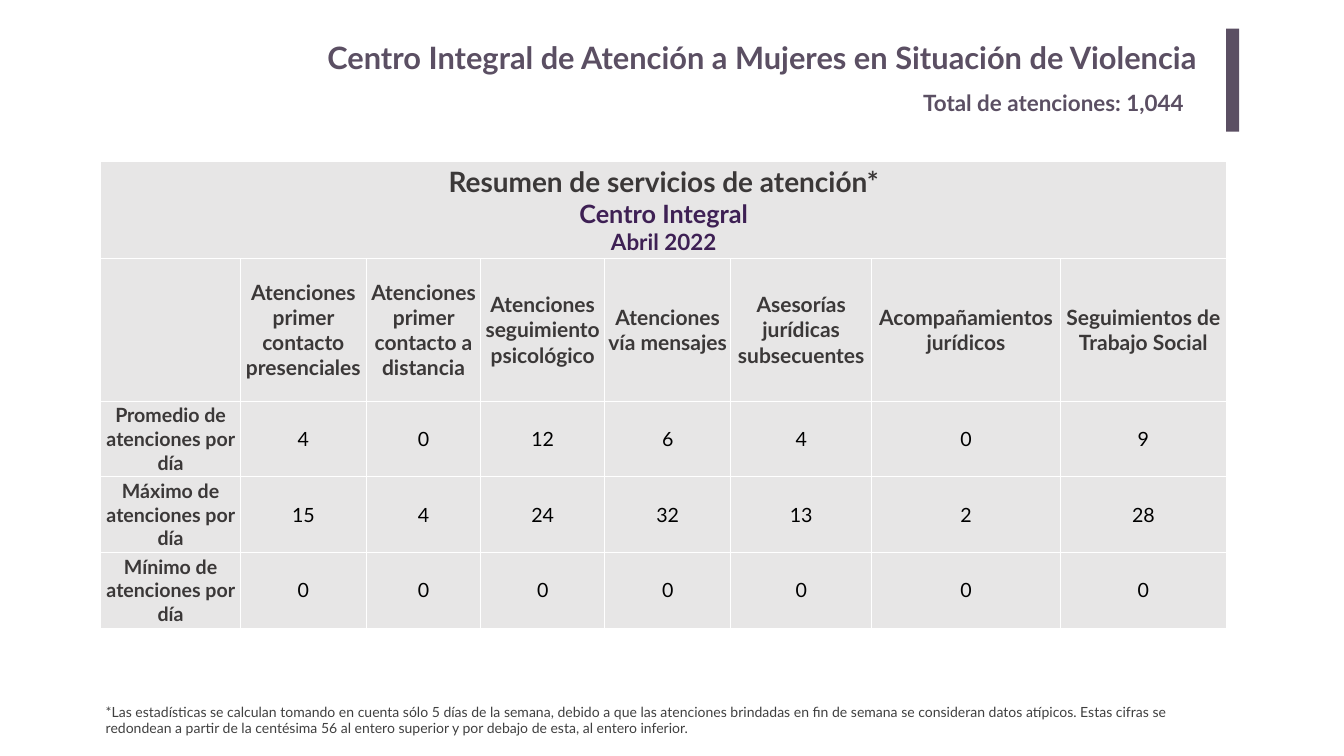
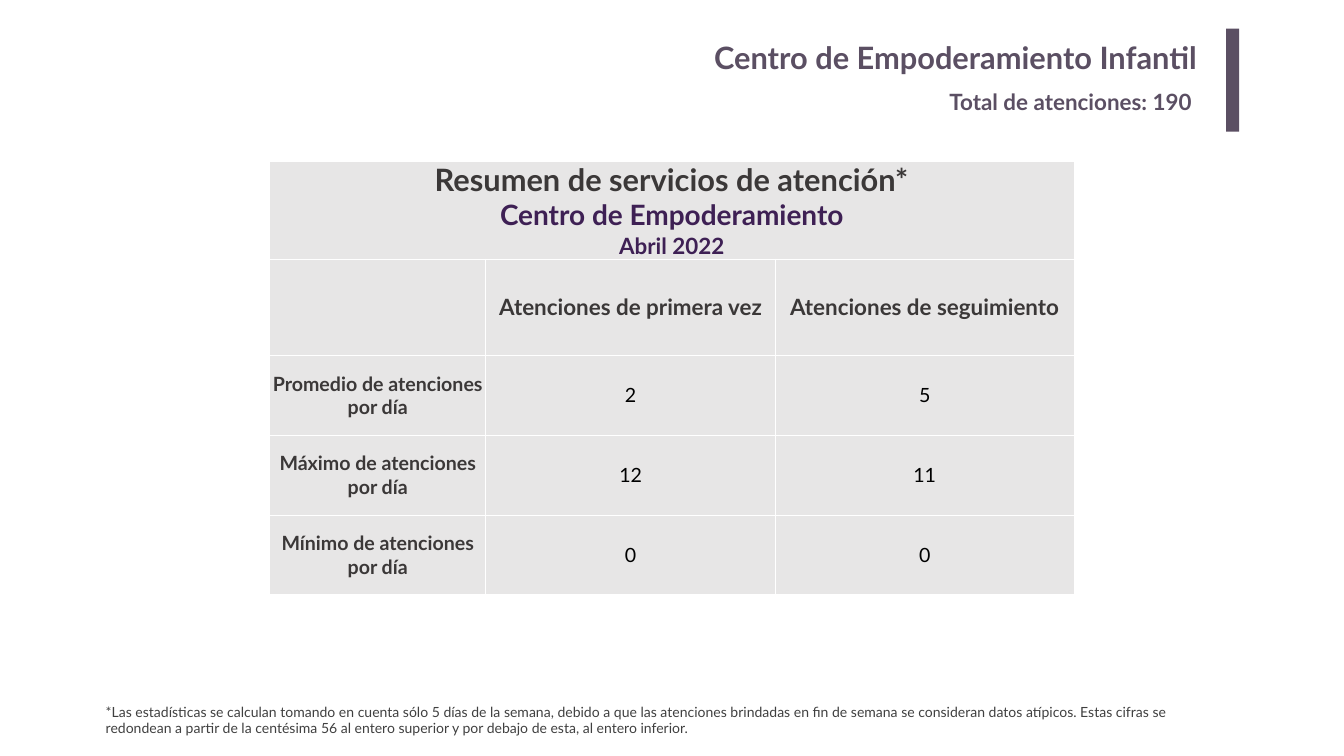
from dataclasses import dataclass

from lxml import etree
from pptx import Presentation
from pptx.dml.color import RGBColor
from pptx.enum.shapes import MSO_SHAPE
from pptx.enum.text import MSO_ANCHOR, MSO_AUTO_SIZE, PP_ALIGN
from pptx.oxml.ns import qn
from pptx.util import Inches, Pt

RECTANGLE = MSO_SHAPE.RECTANGLE
TOP, MIDDLE = MSO_ANCHOR.TOP, MSO_ANCHOR.MIDDLE
LEFT, CENTER, RIGHT = PP_ALIGN.LEFT, PP_ALIGN.CENTER, PP_ALIGN.RIGHT
NO_AUTOFIT = MSO_AUTO_SIZE.NONE
TITLE_ONLY = 5
FONT = "Lato"
COLORS = {
    "accent": "5B4F63",
    "purple": "3E2054",
    "heading": "3B3838",
    "value": "000000",
    "note": "404040",
    "cell": "E7E6E6",
    "border": "FFFFFF",
}
FOOTNOTE = (
    "*Las estadísticas se calculan tomando en cuenta sólo 5 días de la semana, "
    "debido a que las atenciones brindadas en fin de semana se consideran datos "
    "atípicos. Estas cifras se redondean a partir de la centésima 56 al entero "
    "superior y por debajo de esta, al entero inferior."
)
ROW_LABELS = [f"{measure} de atenciones por día" for measure in ("Promedio", "Máximo", "Mínimo")]


@dataclass(frozen=True)
class Box:
    left: float
    top: float
    width: float
    height: float

    def lengths(self) -> tuple:
        return tuple(Inches(n) for n in (self.left, self.top, self.width, self.height))


@dataclass(frozen=True)
class TextLine:
    text: str
    size: float
    color: str
    bold: bool = True


@dataclass(frozen=True)
class Summary:
    title: str
    total: str
    total_box: Box
    table_box: Box
    caption: list[TextLine]
    column_widths: list[float]
    row_heights: list[float]
    header_size: float
    headers: list[str]
    values: list[list[int]]


TITLE_BOX = Box(3.66, 0.67, 20.3, 1.02)
BAR_BOX = Box(24.33, 0.57, 0.26, 2.04)
FOOTNOTE_BOX = Box(2, 13.9, 22.33, 0.77)

SUMMARIES = [
    Summary(
        title="Centro Integral de Atención a Mujeres en Situación de Violencia",
        total="1,044",
        total_box=Box(18.22, 1.71, 5.92, 0.64),
        table_box=Box(2, 3.21, 22.33, 9.24),
        caption=[
            TextLine("Resumen de servicios de atención*", 40, "heading"),
            TextLine("Centro Integral", 36, "purple"),
            TextLine("Abril 2022", 32, "purple"),
        ],
        column_widths=[2.77, 2.5, 2.27, 2.46, 2.5, 2.8, 3.74, 3.3],
        row_heights=[1.92, 2.83] + [1.5] * 3,
        header_size=30,
        headers=[
            "Atenciones primer contacto presenciales",
            "Atenciones primer contacto a distancia",
            "Atenciones seguimiento psicológico",
            "Atenciones vía mensajes",
            "Asesorías jurídicas subsecuentes",
            "Acompañamientos jurídicos",
            "Seguimientos de Trabajo Social",
        ],
        values=[
            [4, 0, 12, 6, 4, 0, 9],
            [15, 4, 24, 32, 13, 2, 28],
            [0] * 7,
        ],
    ),
    Summary(
        title="Centro de Empoderamiento Infantil",
        total="190",
        total_box=Box(18.74, 1.69, 5.28, 0.64),
        table_box=Box(5.35, 3.2, 15.96, 8.59),
        caption=[
            TextLine("Resumen de servicios de atención*", 44, "heading"),
            TextLine("Centro de Empoderamiento", 40, "purple"),
            TextLine("Abril 2022", 32, "purple"),
        ],
        column_widths=[4.29, 5.75, 5.92],
        row_heights=[1.92] * 2 + [1.58] * 3,
        header_size=32,
        headers=["Atenciones de primera vez", "Atenciones de seguimiento"],
        values=[[2, 5], [12, 11], [0, 0]],
    ),
]


def set_attributes(target, values: dict) -> None:
    """Set each named format value on the target."""
    for name, value in values.items():
        setattr(target, name, value)


def margins(horizontal: float, vertical: float) -> dict:
    """Return the four inner margins as format values."""
    return {
        "margin_left": Inches(horizontal),
        "margin_right": Inches(horizontal),
        "margin_top": Inches(vertical),
        "margin_bottom": Inches(vertical),
    }


def write_lines(text_frame, lines: list[TextLine], alignment) -> None:
    """Write one formatted paragraph for each line."""
    for index, line in enumerate(lines):
        paragraph = text_frame.add_paragraph() if index else text_frame.paragraphs[0]
        set_attributes(paragraph, {"alignment": alignment, "space_before": Pt(0)})
        run = paragraph.add_run()
        run.text = line.text
        set_attributes(run.font, {"name": FONT, "size": Pt(line.size), "bold": line.bold})
        run.font.color.rgb = RGBColor.from_string(COLORS[line.color])


def format_frame(text_frame, horizontal: float, vertical: float) -> None:
    """Give a text frame its wrapping, anchor and margins."""
    frame_format = {"word_wrap": True, "auto_size": NO_AUTOFIT, "vertical_anchor": TOP}
    set_attributes(text_frame, frame_format | margins(horizontal, vertical))


def add_title(slide, title: str) -> None:
    """Place the right-aligned slide title."""
    shape = slide.shapes.title
    set_attributes(shape, dict(zip(("left", "top", "width", "height"), TITLE_BOX.lengths())))
    format_frame(shape.text_frame, 0.2, 0.1)
    write_lines(shape.text_frame, [TextLine(title, 44, "accent")], RIGHT)


def add_text(slide, box: Box, line: TextLine) -> None:
    """Add a left-aligned text box."""
    text_frame = slide.shapes.add_textbox(*box.lengths()).text_frame
    format_frame(text_frame, 0.1, 0.05)
    write_lines(text_frame, [line], LEFT)


def add_bar(slide) -> None:
    """Add the accent bar beside the title."""
    shape = slide.shapes.add_shape(RECTANGLE, *BAR_BOX.lengths())
    shape.shadow.inherit = False
    shape.fill.solid()
    shape.fill.fore_color.rgb = RGBColor.from_string(COLORS["accent"])
    shape.line.fill.background()


def format_cell(cell) -> None:
    """Give a cell its borders, fill, anchor and margins."""
    properties = cell._tc.get_or_add_tcPr()
    for side in ("lnL", "lnR", "lnT", "lnB"):
        border = etree.SubElement(properties, qn(f"a:{side}"), w=str(Pt(1)))
        fill = etree.SubElement(border, qn("a:solidFill"))
        etree.SubElement(fill, qn("a:srgbClr"), val=COLORS["border"])
    cell.fill.solid()
    cell.fill.fore_color.rgb = RGBColor.from_string(COLORS["cell"])
    set_attributes(cell, {"vertical_anchor": MIDDLE} | margins(0, 0))


def add_summary_table(slide, summary: Summary) -> None:
    """Add the table of daily averages, maximums and minimums."""
    row_count, column_count = len(summary.row_heights), len(summary.column_widths)
    table = slide.shapes.add_table(row_count, column_count, *summary.table_box.lengths()).table
    set_attributes(table, {"first_row": False, "horz_banding": False})
    for column, width in zip(table.columns, summary.column_widths):
        column.width = Inches(width)
    for row, height in zip(table.rows, summary.row_heights):
        row.height = Inches(height)
    for cell in table.iter_cells():
        format_cell(cell)

    table.cell(0, 0).merge(table.cell(0, column_count - 1))
    write_lines(table.cell(0, 0).text_frame, summary.caption, CENTER)
    for column, header in enumerate(summary.headers, 1):
        line = TextLine(header, summary.header_size, "heading")
        write_lines(table.cell(1, column).text_frame, [line], CENTER)
    for row, (label, values) in enumerate(zip(ROW_LABELS, summary.values), 2):
        lines = [TextLine(label, 28, "heading")]
        lines += [TextLine(str(value), 28, "value", False) for value in values]
        for column, line in enumerate(lines):
            write_lines(table.cell(row, column).text_frame, [line], CENTER)


def add_summary_slide(presentation, summary: Summary) -> None:
    """Add one slide with its title, total, table and footnote."""
    slide = presentation.slides.add_slide(presentation.slide_layouts[TITLE_ONLY])
    add_summary_table(slide, summary)
    add_title(slide, summary.title)
    add_bar(slide)
    total = TextLine(f"Total de atenciones: {summary.total}", 32, "accent")
    add_text(slide, summary.total_box, total)
    add_text(slide, FOOTNOTE_BOX, TextLine(FOOTNOTE, 20, "note", False))


def main() -> None:
    """Build and save the presentation."""
    presentation = Presentation()
    set_attributes(presentation, {"slide_width": Inches(26.67), "slide_height": Inches(15)})
    for summary in SUMMARIES:
        add_summary_slide(presentation, summary)
    presentation.save("out.pptx")


if __name__ == "__main__":
    main()
